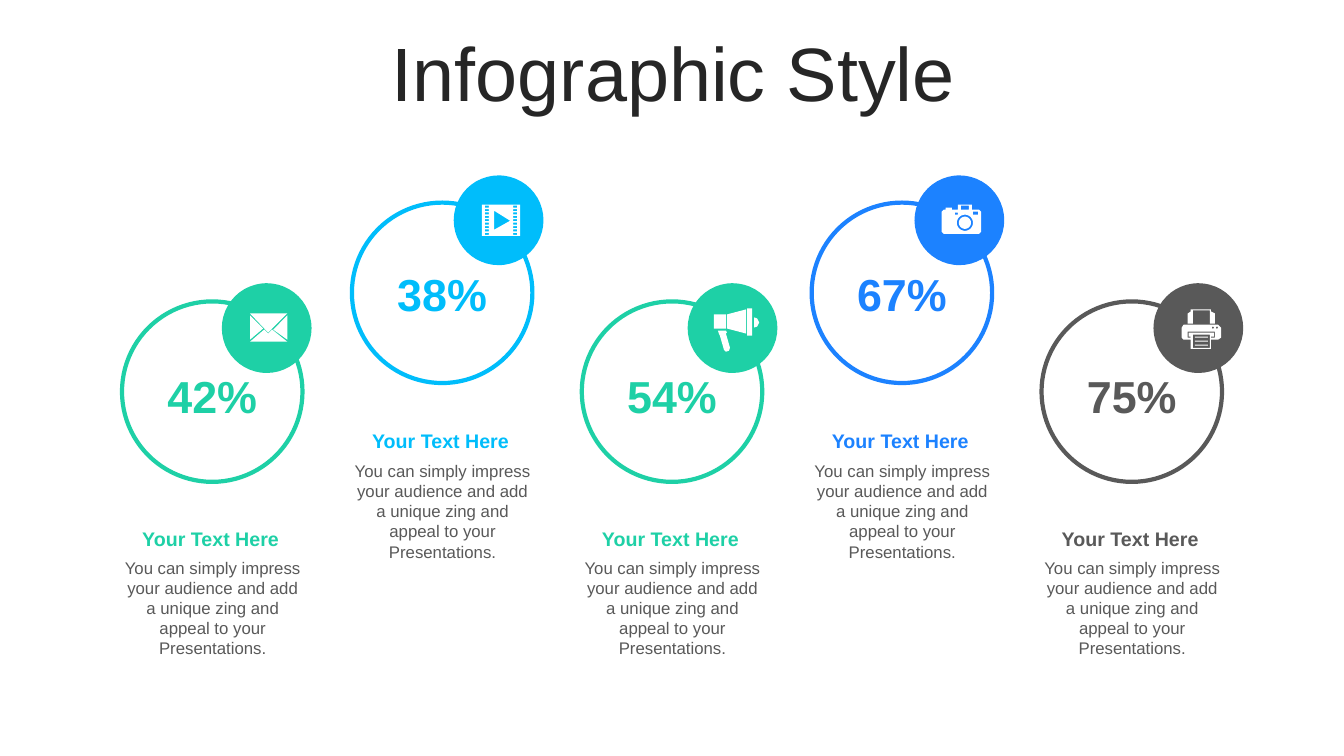
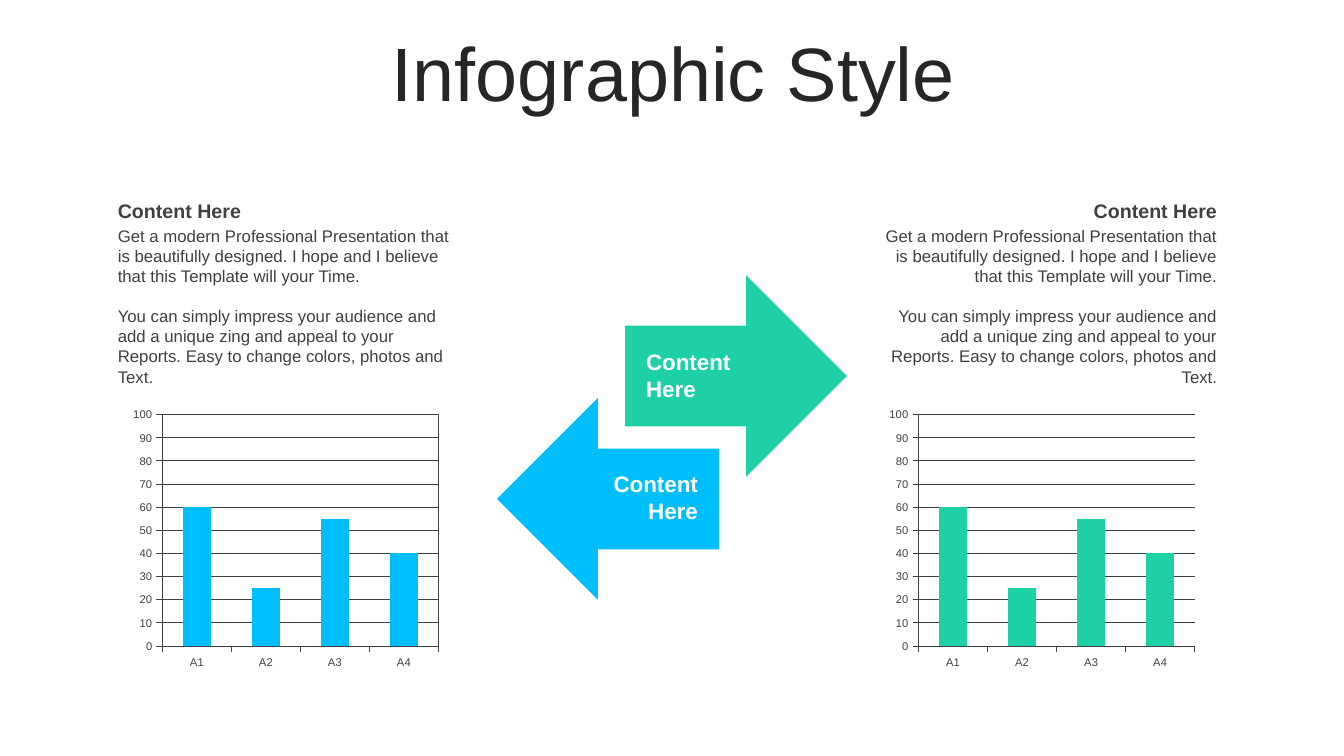
from math import cos, pi, sin
from lxml.etree import SubElement
from pptx import Presentation
from pptx.chart.data import CategoryChartData
from pptx.dml.color import RGBColor
from pptx.enum.chart import XL_CHART_TYPE, XL_TICK_MARK
from pptx.enum.shapes import MSO_SHAPE
from pptx.enum.text import MSO_ANCHOR, PP_ALIGN
from pptx.oxml import parse_xml
from pptx.oxml.ns import nsdecls, qn
from pptx.util import Inches, Pt

GREEN, CYAN, BLUE, GRAY = "1ED0A6", "00BDFB", "1C82FF", "595959"
WHITE, DARK, TITLE_COLOR = "FFFFFF", "404040", "262626"
FONT = "Arial"
RING_SIZE, RING_LEFT, RING_STEP = 1.79, 1.21, 2.28
BADGE_SIZE = 0.89
LOW = {"ring": 2.99, "badge": 2.81, "percent": 3.61, "heading": 5.18, "body": 5.48}
HIGH = {"ring": 2.01, "badge": 1.74, "percent": 2.6, "heading": 4.21, "body": 4.52}
RING_TEXT = ("You can simply impress your audience and add a unique zing "
             "and appeal to your Presentations.")
COLUMN_TEXTS = [
    "Get a modern Professional Presentation that is beautifully designed. "
    "I hope and I believe that this Template will your Time.",
    "You can simply impress your audience and add a unique zing and appeal "
    "to your Reports. Easy to change colors, photos and Text.",
]


def set_attributes(target, values):
    for name, value in values.items():
        setattr(target, name, value)


def color(hex_value):
    return RGBColor.from_string(hex_value)


def set_font(font, size, hex_value, bold=False):
    set_attributes(font, {"name": FONT, "size": Pt(size), "bold": bold})
    font.color.rgb = color(hex_value)


def add_text(slide, box, texts, size, hex_value, bold=False, align=PP_ALIGN.CENTER,
             anchor=MSO_ANCHOR.TOP, gap=0, line_spacing=None):
    frame = slide.shapes.add_textbox(*map(Inches, box)).text_frame
    set_attributes(frame, {"word_wrap": True, "vertical_anchor": anchor})
    for index, text in enumerate(texts):
        paragraph = frame.add_paragraph() if index else frame.paragraphs[0]
        set_attributes(paragraph, {
            "text": text,
            "alignment": align,
            "line_spacing": line_spacing,
            "space_before": Pt(gap if index else 0),
        })
        set_font(paragraph.font, size, hex_value, bold)


def add_title(slide, text):
    add_text(slide, (0.35, 0.37, 12.66, 0.79), [text], 54, TITLE_COLOR,
             anchor=MSO_ANCHOR.MIDDLE, line_spacing=0.9)


def paint(shape, fill, line=None, line_width=3):
    shape.shadow.inherit = False
    shape.fill.solid()
    shape.fill.fore_color.rgb = color(fill)
    if line:
        shape.line.color.rgb = color(line)
        shape.line.width = Pt(line_width)
    else:
        shape.line.fill.background()


def add_preset(slide, preset, box, fill, line=None):
    shape = slide.shapes.add_shape(preset, *map(Inches, box))
    paint(shape, fill, line)


def rectangle(left, top, width, height):
    right, bottom = left + width, top + height
    return [(left, top), (right, top), (right, bottom), (left, bottom)]


def circle(center_x, center_y, radius, points=40):
    angles = [2 * pi * index / points for index in range(points)]
    return [(center_x + radius * cos(angle), center_y + radius * sin(angle))
            for angle in angles]


def envelope_icon():
    return [
        [(0.28, 0.3), (0.65, 0.3), (0.46, 0.49)],
        [(0.28, 0.32), (0.41, 0.45), (0.28, 0.56)],
        [(0.65, 0.32), (0.65, 0.56), (0.51, 0.46)],
        [(0.5, 0.46), (0.65, 0.58), (0.28, 0.58), (0.42, 0.46), (0.46, 0.5)],
    ]


def film_icon():
    holes = [rectangle(left, 0.3 + 0.27 * row / 8, 0.04, 0.02)
             for left in (0.31, 0.59) for row in range(9)]
    play = [(0.4, 0.35), (0.4, 0.54), (0.56, 0.45)]
    return [rectangle(0.28, 0.29, 0.38, 0.31), play, *holes]


def megaphone_icon():
    handle = [(0.38, 0.47), (0.39, 0.49), (0.38, 0.5), (0.42, 0.64), (0.41, 0.67),
              (0.38, 0.68), (0.36, 0.66), (0.32, 0.52), (0.31, 0.5), (0.3, 0.47)]
    sound = [(0.66, 0.34), (0.69, 0.35), (0.71, 0.39), (0.69, 0.43), (0.66, 0.44)]
    horn = [(0.58, 0.26), (0.58, 0.5), (0.39, 0.45), (0.39, 0.31)]
    return [handle, sound, horn, rectangle(0.26, 0.31, 0.12, 0.14),
            rectangle(0.59, 0.25, 0.05, 0.27)]


def camera_icon():
    body = [(0.29, 0.34), (0.31, 0.34), (0.31, 0.32), (0.37, 0.32), (0.37, 0.34),
            (0.43, 0.34), (0.43, 0.29), (0.57, 0.29), (0.57, 0.34), (0.64, 0.34),
            (0.66, 0.36), (0.66, 0.56), (0.64, 0.58), (0.29, 0.58), (0.27, 0.56),
            (0.27, 0.36)]
    return [body, circle(0.5, 0.47, 0.08), circle(0.5, 0.47, 0.06),
            rectangle(0.4, 0.37, 0.03, 0.02), rectangle(0.58, 0.36, 0.05, 0.03),
            rectangle(0.46, 0.3, 0.08, 0.04)]


def printer_icon():
    body = [(0.3, 0.41), (0.64, 0.41), (0.67, 0.44), (0.67, 0.54), (0.64, 0.56),
            (0.57, 0.56), (0.57, 0.65), (0.37, 0.65), (0.37, 0.56), (0.3, 0.56),
            (0.28, 0.54), (0.28, 0.44)]
    slot = [(0.34, 0.48), (0.61, 0.48), (0.61, 0.54), (0.57, 0.54), (0.57, 0.53),
            (0.6, 0.53), (0.6, 0.49), (0.35, 0.49), (0.35, 0.53), (0.37, 0.53),
            (0.37, 0.54), (0.34, 0.54)]
    feeder = [(0.37, 0.26), (0.57, 0.26), (0.57, 0.28), (0.61, 0.3), (0.61, 0.4),
              (0.56, 0.4), (0.56, 0.27), (0.39, 0.27), (0.39, 0.4), (0.34, 0.4),
              (0.34, 0.3), (0.37, 0.28)]
    buttons = [circle(center_x, 0.44, 0.01) for center_x in (0.59, 0.63)]
    lines = [rectangle(0.41, top, 0.13, 0.01) for top in (0.53, 0.57, 0.61)]
    return [body, slot, feeder, rectangle(0.39, 0.51, 0.17, 0.13), *buttons, *lines]


def add_icon(slide, left, top, contours):
    outlines = [[(Inches(x), Inches(y)) for x, y in contour] for contour in contours]
    builder = slide.shapes.build_freeform(*outlines[0][0])
    for index, outline in enumerate(outlines):
        if index:
            builder.move_to(*outline[0])
        builder.add_line_segments(outline[1:], close=True)
    paint(builder.convert_to_shape(Inches(left), Inches(top)), WHITE)


def add_ring(slide, left, tops, badge_left, percent, hex_value, contours):
    add_preset(slide, MSO_SHAPE.OVAL, (left, tops["ring"], RING_SIZE, RING_SIZE),
               WHITE, hex_value)
    add_preset(slide, MSO_SHAPE.OVAL,
               (badge_left, tops["badge"], BADGE_SIZE, BADGE_SIZE), hex_value)
    add_icon(slide, badge_left, tops["badge"], contours)
    add_text(slide, (left + 0.34, tops["percent"], 1.11, 0.64), [percent],
             32, hex_value, bold=True)
    add_text(slide, (left - 0.1, tops["heading"], 1.96, 0.34), ["Your Text Here"],
             14, hex_value, bold=True)
    add_text(slide, (left - 0.09, tops["body"], 1.98, 1.11), [RING_TEXT], 12, GRAY)


def add_column_chart(slide, left, hex_value, border):
    data = CategoryChartData()
    data.categories = ["A1", "A2", "A3", "A4"]
    data.add_series("Series 1", [60, 25, 55, 40])
    chart = slide.shapes.add_chart(XL_CHART_TYPE.COLUMN_CLUSTERED, Inches(left),
                                   Inches(3.89), Inches(3.34), Inches(2.8), data).chart
    set_attributes(chart, {"has_title": False, "has_legend": False})
    set_font(chart.font, 8, DARK)
    plot = chart.plots[0]
    set_attributes(plot, {"gap_width": 150, "overlap": 100, "vary_by_categories": False})
    fill = plot.series[0].format.fill
    fill.solid()
    fill.fore_color.rgb = color(hex_value)
    value_axis = chart.value_axis
    set_attributes(value_axis, {"minimum_scale": 0, "maximum_scale": 100,
                                "major_unit": 10, "has_major_gridlines": True})
    for axis in (chart.category_axis, value_axis):
        set_attributes(axis, {"major_tick_mark": XL_TICK_MARK.OUTSIDE,
                              "minor_tick_mark": XL_TICK_MARK.NONE})
    for part in (chart.category_axis, value_axis, value_axis.major_gridlines):
        part.format.line.color.rgb = color(DARK)
        part.format.line.width = Pt(0.75)
    set_plot_area(chart, border)


def set_plot_area(chart, border):
    plot_area = next(chart.element.iter(qn("c:plotArea")))
    for layout in plot_area.findall(qn("c:layout")):
        plot_area.remove(layout)
    layout = parse_xml(f"<c:layout {nsdecls('c')}><c:manualLayout/></c:layout>")
    settings = {"layoutTarget": "inner", "xMode": "edge", "yMode": "edge",
                "x": "0.12", "y": "0.08", "w": "0.82", "h": "0.82"}
    for name, value in settings.items():
        SubElement(layout[0], qn(f"c:{name}")).set("val", value)
    plot_area.insert(0, layout)
    if border:
        plot_area.append(parse_xml(
            f"<c:spPr {nsdecls('c', 'a')}><a:noFill/><a:ln w='9525'><a:solidFill>"
            f"<a:srgbClr val='{DARK}'/></a:solidFill></a:ln></c:spPr>"))


def add_content_column(slide, left, align, hex_value, border):
    add_text(slide, (left, 1.92, 3.6, 0.34), ["Content Here"], 14, DARK, bold=True,
             align=align, anchor=MSO_ANCHOR.MIDDLE)
    add_text(slide, (left, 2.19, 3.6, 1.51), COLUMN_TEXTS, 12, DARK, align=align, gap=14)
    add_column_chart(slide, left + 0.14, hex_value, border)


def add_arrow(slide, preset, arrow_box, text_box, hex_value, align):
    add_preset(slide, preset, arrow_box, hex_value)
    add_text(slide, text_box, ["Content", "Here"], 16, WHITE, bold=True, align=align,
             anchor=MSO_ANCHOR.MIDDLE)


def add_titled_slide(presentation):
    slide = presentation.slides.add_slide(presentation.slide_layouts[6])
    add_title(slide, "Infographic Style")
    return slide


def build_rings_slide(presentation):
    slide = add_titled_slide(presentation)
    rings = [
        (LOW, 2.2, "42%", GREEN, envelope_icon()),
        (HIGH, 4.5, "38%", CYAN, film_icon()),
        (LOW, 6.82, "54%", GREEN, megaphone_icon()),
        (HIGH, 9.07, "67%", BLUE, camera_icon()),
        (LOW, 11.44, "75%", GRAY, printer_icon()),
    ]
    for index, ring in enumerate(rings):
        add_ring(slide, RING_LEFT + RING_STEP * index, *ring)


def build_arrows_slide(presentation):
    slide = add_titled_slide(presentation)
    add_arrow(slide, MSO_SHAPE.RIGHT_ARROW, (6.2, 2.73, 2.2, 2),
              (6.31, 3.4, 1.62, 0.64), GREEN, PP_ALIGN.LEFT)
    add_arrow(slide, MSO_SHAPE.LEFT_ARROW, (4.93, 3.95, 2.2, 2),
              (5.33, 4.61, 1.69, 0.64), CYAN, PP_ALIGN.RIGHT)
    add_content_column(slide, 1.07, PP_ALIGN.LEFT, CYAN, border=True)
    add_content_column(slide, 8.57, PP_ALIGN.RIGHT, GREEN, border=False)


def main():
    presentation = Presentation()
    set_attributes(presentation, {"slide_width": Inches(13.33),
                                  "slide_height": Inches(7.5)})
    build_rings_slide(presentation)
    build_arrows_slide(presentation)
    presentation.save("out.pptx")


if __name__ == "__main__":
    main()
